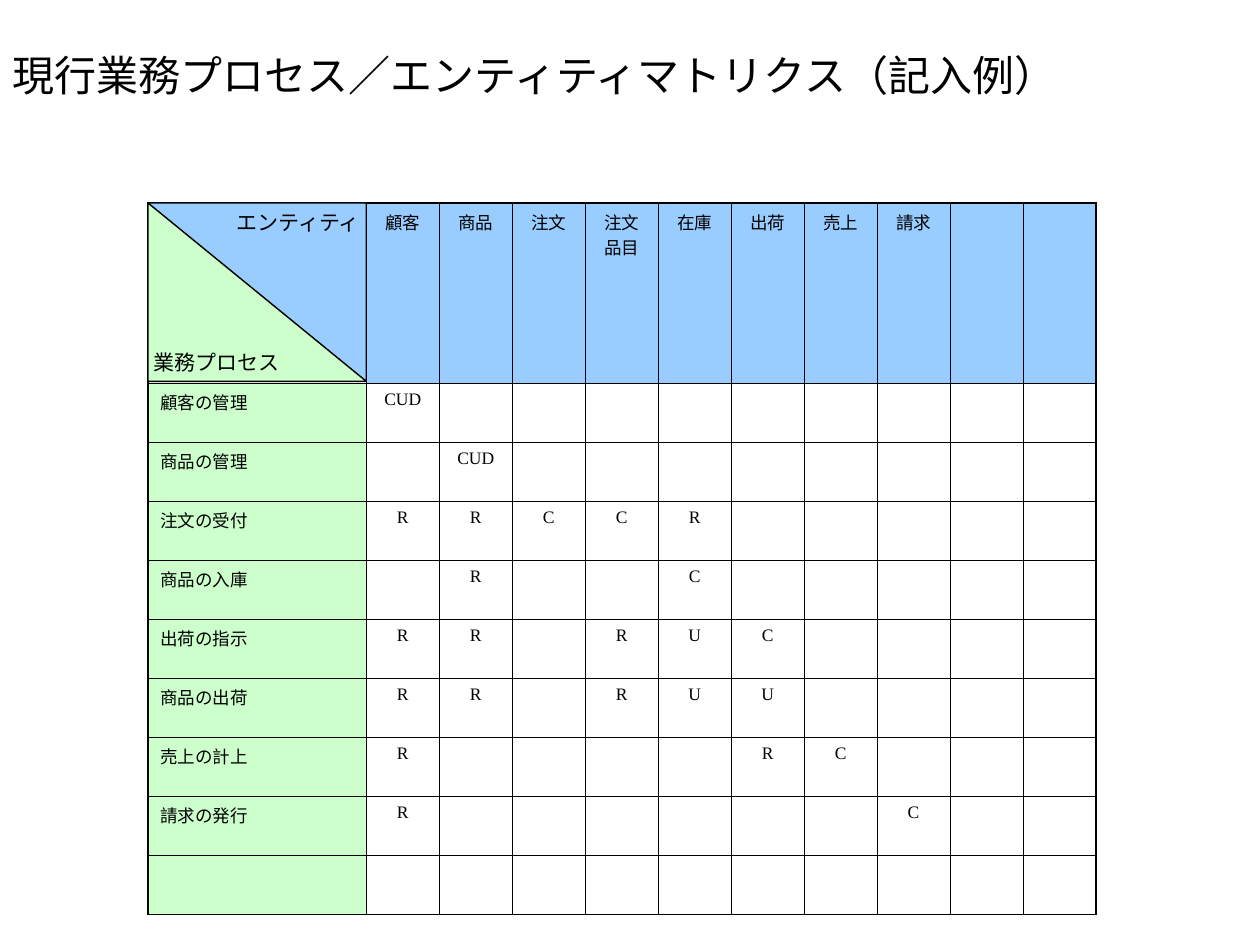
from dataclasses import dataclass

from lxml.etree import SubElement
from pptx import Presentation
from pptx.dml.color import RGBColor
from pptx.enum.text import MSO_ANCHOR, MSO_AUTO_SIZE, PP_ALIGN
from pptx.oxml.ns import qn
from pptx.util import Pt


@dataclass(frozen=True)
class Theme:
    ink: RGBColor = RGBColor(0x00, 0x00, 0x00)
    entity: RGBColor = RGBColor(0x99, 0xCC, 0xFF)
    process: RGBColor = RGBColor(0xCC, 0xFF, 0xCC)
    serif: str = "Times New Roman"
    gothic: str = "Noto Sans CJK JP"
    title_size: float = 24
    label_size: float = 12
    cell_size: float = 10
    outer_line: float = 1.08
    inner_line: float = 0.45
    corner_line: float = 0.75


@dataclass(frozen=True)
class Process:
    name: str
    marks: dict[str, str]


@dataclass(frozen=True)
class Triangle:
    points: list[tuple[float, float]]
    color: RGBColor


@dataclass(frozen=True)
class Label:
    text: str
    left: float
    top: float


THEME = Theme()

# Table geometry in points
LEFT, TOP = 84.5, 116
NAME_W, ENTITY_W = 124.8, 41.7
HEAD_H, ROW_H = 103, 33.75
CORNER_RIGHT, CORNER_BOTTOM = LEFT + NAME_W, TOP + 102

# Empty names are the spare columns and the spare row
ENTITIES = ["顧客", "商品", "注文", "注文品目", "在庫", "出荷", "売上", "請求", "", ""]
PROCESSES = [
    Process("顧客の管理", {"顧客": "CUD"}),
    Process("商品の管理", {"商品": "CUD"}),
    Process("注文の受付", {"顧客": "R", "商品": "R", "注文": "C", "注文品目": "C", "在庫": "R"}),
    Process("商品の入庫", {"商品": "R", "在庫": "C"}),
    Process("出荷の指示", {"顧客": "R", "商品": "R", "注文品目": "R", "在庫": "U", "出荷": "C"}),
    Process("商品の出荷", {"顧客": "R", "商品": "R", "注文品目": "R", "在庫": "U", "出荷": "U"}),
    Process("売上の計上", {"顧客": "R", "出荷": "R", "売上": "C"}),
    Process("請求の発行", {"顧客": "R", "請求": "C"}),
    Process("", {}),
]
TRIANGLES = [
    Triangle([(CORNER_RIGHT, CORNER_BOTTOM), (CORNER_RIGHT, TOP), (LEFT, TOP)], THEME.entity),
    Triangle([(LEFT, TOP), (LEFT, CORNER_BOTTOM), (CORNER_RIGHT, CORNER_BOTTOM)], THEME.process),
]
LABELS = [Label("エンティティ", 134.5, 119.5), Label("業務プロセス", 88, 199.5)]


def add_text(tf, text: str, size: float, font: str, align: PP_ALIGN) -> None:
    p = tf.paragraphs[0]
    p.alignment = align
    r = p.add_run()
    r.text = text
    r.font.size = Pt(size)
    r.font.name = font
    r.font.color.rgb = THEME.ink
    SubElement(r.font._element, qn("a:ea"), typeface=THEME.gothic)


def set_border(cell, side: str, width: float) -> None:
    ln = SubElement(cell._tc.get_or_add_tcPr(), qn(f"a:ln{side}"), w=str(Pt(width)))
    fill = SubElement(ln, qn("a:solidFill"))
    SubElement(fill, qn("a:srgbClr"), val=str(THEME.ink))


def add_matrix(s) -> None:
    rows = [["", *ENTITIES]]
    rows += [[pr.name, *(pr.marks.get(e, "") for e in ENTITIES)] for pr in PROCESSES]
    last_row, last_col = len(PROCESSES), len(ENTITIES)
    table = s.shapes.add_table(
        len(rows), last_col + 1, Pt(LEFT), Pt(TOP),
        Pt(NAME_W + ENTITY_W * last_col), Pt(HEAD_H + ROW_H * last_row)).table
    table.first_row = table.horz_banding = False
    for j, column in enumerate(table.columns):
        column.width = Pt(ENTITY_W if j else NAME_W)
    for i, row in enumerate(table.rows):
        row.height = Pt(ROW_H if i else HEAD_H)
        for j, cell in enumerate(row.cells):
            edges = {"L": j == 0, "R": j == last_col, "T": i == 0, "B": i == last_row}
            for side, is_outer in edges.items():
                set_border(cell, side, THEME.outer_line if is_outer else THEME.inner_line)
            if (i == 0) == (j == 0):
                cell.fill.background()
            else:
                cell.fill.solid()
                cell.fill.fore_color.rgb = THEME.process if i else THEME.entity
            if rows[i][j]:
                add_text(cell.text_frame, rows[i][j], THEME.cell_size, THEME.serif,
                         PP_ALIGN.CENTER if j else PP_ALIGN.LEFT)


def add_triangle(s, triangle: Triangle) -> None:
    start, *others = [(Pt(x), Pt(y)) for x, y in triangle.points]
    builder = s.shapes.build_freeform(*start)
    builder.add_line_segments(others, close=True)
    sp = builder.convert_to_shape()
    sp.shadow.inherit = False
    sp.fill.solid()
    sp.fill.fore_color.rgb = triangle.color
    sp.line.color.rgb = THEME.ink
    sp.line.width = Pt(THEME.corner_line)


def add_label(s, label: Label) -> None:
    sp = s.shapes.add_textbox(Pt(label.left), Pt(label.top), Pt(72), Pt(14.5))
    tf = sp.text_frame
    tf.margin_left = tf.margin_right = tf.margin_top = tf.margin_bottom = 0
    tf.word_wrap = False
    tf.auto_size = MSO_AUTO_SIZE.SHAPE_TO_FIT_TEXT
    add_text(tf, label.text, THEME.label_size, THEME.gothic, PP_ALIGN.CENTER)


def add_title(s, text: str) -> None:
    sp = s.shapes.title
    sp.left, sp.top, sp.width, sp.height = Pt(0), Pt(17.5), Pt(720), Pt(43)
    tf = sp.text_frame
    tf.auto_size = MSO_AUTO_SIZE.NONE
    tf.vertical_anchor = MSO_ANCHOR.BOTTOM
    add_text(tf, text, THEME.title_size, THEME.serif, PP_ALIGN.LEFT)


def main() -> None:
    prs = Presentation()
    prs.slide_width, prs.slide_height = Pt(720), Pt(540)
    s = prs.slides.add_slide(prs.slide_layouts[5])
    add_title(s, "現行業務プロセス／エンティティマトリクス（記入例）")
    add_matrix(s)
    # Diagonal corner cell
    for triangle in TRIANGLES:
        add_triangle(s, triangle)
    for label in LABELS:
        add_label(s, label)
    prs.save("out.pptx")


if __name__ == "__main__":
    main()
